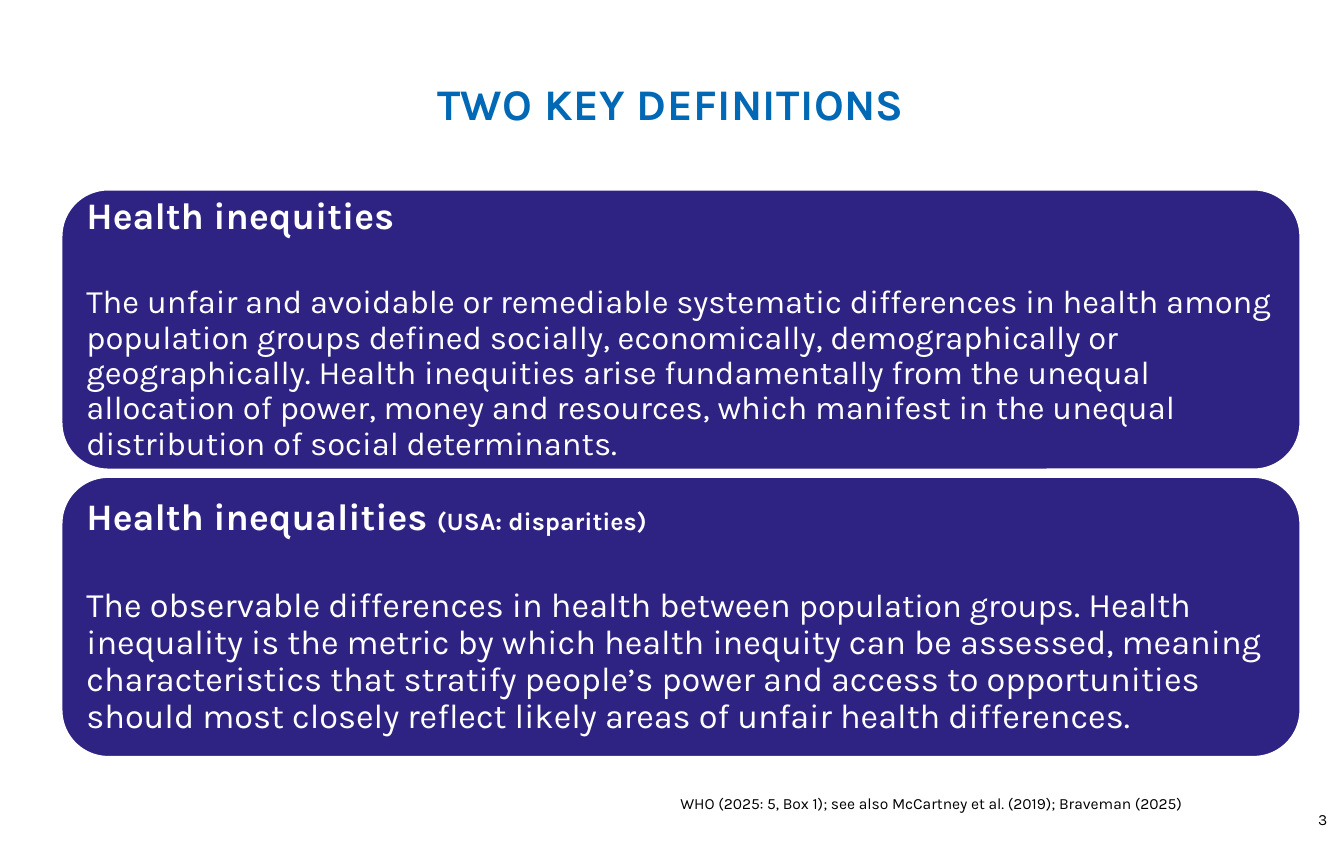
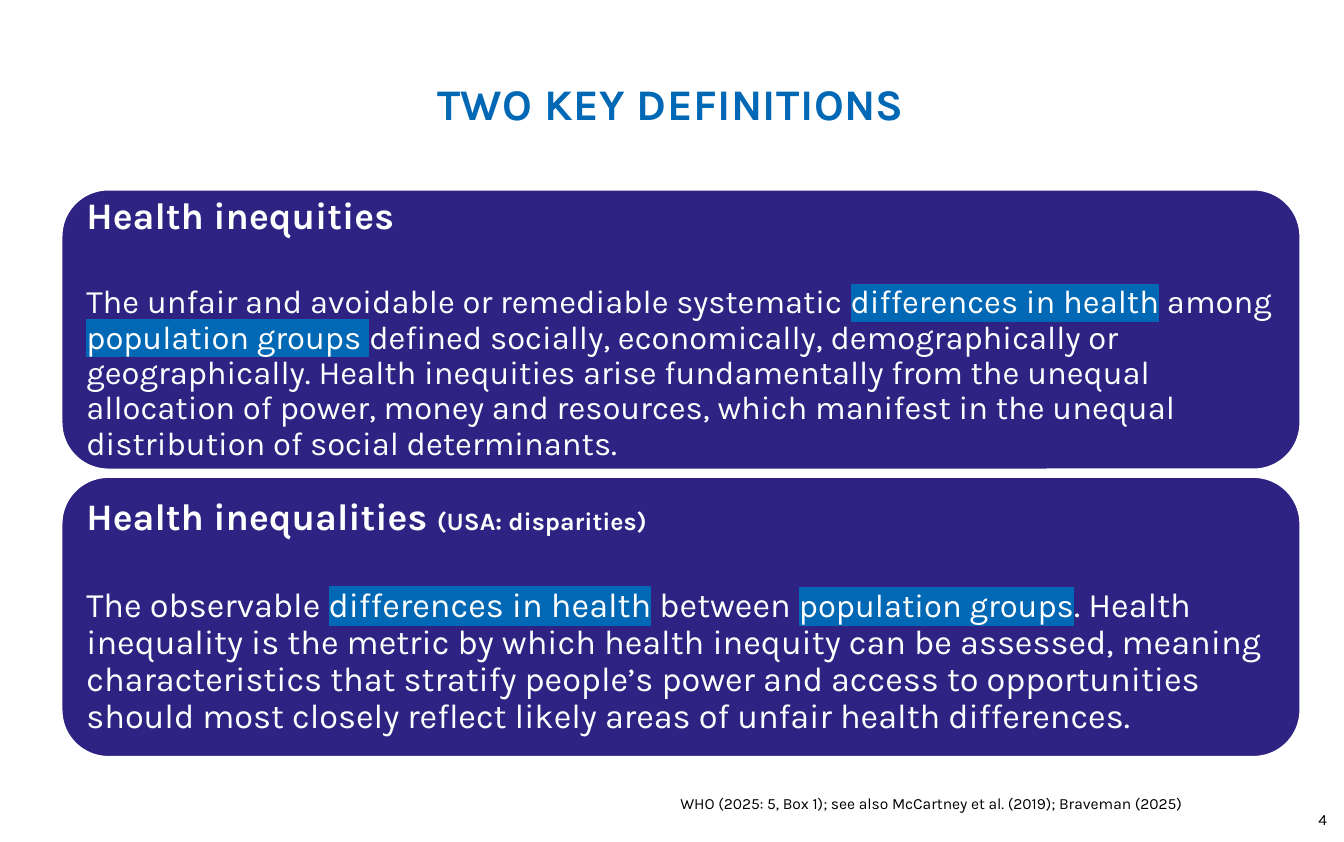
from dataclasses import dataclass

import pptx
import pptx.dml.color
import pptx.enum.shapes
import pptx.enum.text
import pptx.oxml
import pptx.oxml.ns
import pptx.util
from pptx.util import Inches


@dataclass(frozen=True)
class Theme:
    font: str = "Karla"
    accent: str = "0068B4"
    panel: str = "2E2382"
    white: str = "FFFFFF"
    black: str = "000000"
    title_size: int = 28
    heading_size: int = 24
    qualifier_size: int = 16
    body_size: int = 22
    compact_size: int = 21
    small_size: int = 10


theme = Theme()
Align = pptx.enum.text.PP_ALIGN
Anchor = pptx.enum.text.MSO_ANCHOR


def add_run(paragraph, text, size, color, bold=False, highlight=None):
    run = paragraph.add_run()
    run.text = text
    run.font.size = pptx.util.Pt(size)
    run.font.bold = bold
    run.font.color.rgb = pptx.dml.color.RGBColor.from_string(color)
    if highlight:
        mark = pptx.oxml.parse_xml(
            f'<a:highlight {pptx.oxml.ns.nsdecls("a")}><a:srgbClr val="{highlight}"/></a:highlight>'
        )
        run.font._element.find(pptx.oxml.ns.qn("a:solidFill")).addnext(mark)
    run.font.name = theme.font
    return run


def prepare_frame(shape, anchor, margins=(0, 0, 0, 0)):
    frame = shape.text_frame
    frame.word_wrap = True
    frame.auto_size = pptx.enum.text.MSO_AUTO_SIZE.NONE
    frame.vertical_anchor = anchor
    frame.margin_left, frame.margin_top, frame.margin_right, frame.margin_bottom = map(Inches, margins)
    return frame


definitions = [
    {
        "heading": [("Health inequities", theme.heading_size)],
        "gap": 31,
        "body": [
            ("The unfair and avoidable or remediable systematic ", theme.compact_size, False),
            ("differences in health", theme.compact_size, True),
            (" among ", theme.compact_size, False),
            ("population groups ", theme.compact_size, True),
            ("defined socially, economically, demographically or geographically. "
             "Health inequities arise fundamentally from the unequal allocation of power, "
             "money and resources, which manifest in the unequal distribution of social "
             "determinants.", theme.compact_size, False),
        ],
    },
    {
        "heading": [
            ("Health inequalities ", theme.heading_size),
            ("(USA: disparities)", theme.qualifier_size),
        ],
        "gap": 32,
        "body": [
            ("The observable ", theme.body_size, False),
            ("differences in health", theme.body_size, True),
            (" between ", theme.body_size, False),
            ("population groups", theme.compact_size, True),
            (". Health inequality is the metric by which health inequity can be assessed, "
             "meaning characteristics that stratify people’s power and access to opportunities "
             "should most closely reflect likely areas of unfair health differences.",
             theme.body_size, False),
        ],
    },
]

panel_left, panel_top = 0.55, 1.69
panel_width, panel_height, panel_gap = 11.03, 2.49, 0.07

presentation = pptx.Presentation()
presentation.slide_width = Inches(11.97)
presentation.slide_height = Inches(7.5)
title_only = presentation.slide_layouts[5]

for page_number, highlighted in [(3, False), (4, True)]:
    slide = presentation.slides.add_slide(title_only)

    title = slide.shapes.title
    title.left, title.top = Inches(0.55), Inches(0.72)
    title.width, title.height = Inches(10.85), Inches(0.41)
    paragraph = prepare_frame(title, Anchor.TOP).paragraphs[0]
    paragraph.alignment = Align.CENTER
    paragraph.line_spacing = 0.95
    title_run = add_run(paragraph, "TWO KEY DEFINITIONS", theme.title_size, theme.accent, bold=True)
    title_run.font._element.set("spc", "30")

    for index, definition in enumerate(definitions):
        panel = slide.shapes.add_shape(
            pptx.enum.shapes.MSO_SHAPE.ROUNDED_RECTANGLE,
            Inches(panel_left), Inches(panel_top + index * (panel_height + panel_gap)),
            Inches(panel_width), Inches(panel_height),
        )
        panel.shadow.inherit = False
        panel.fill.solid()
        panel.fill.fore_color.rgb = pptx.dml.color.RGBColor.from_string(theme.panel)
        panel.line.color.rgb = pptx.dml.color.RGBColor.from_string(theme.white)
        panel.line.width = pptx.util.Pt(1)

        frame = prepare_frame(panel, Anchor.MIDDLE, (0.1, 0.1, 0.1, 0.1))
        heading, body = frame.paragraphs[0], frame.add_paragraph()
        for paragraph in (heading, body):
            paragraph.alignment = Align.LEFT
            paragraph.line_spacing = 0.9
        heading.space_after = pptx.util.Pt(definition["gap"])
        for text, size in definition["heading"]:
            add_run(heading, text, size, theme.white, bold=True)
        for text, size, shared_term in definition["body"]:
            highlight = theme.accent if highlighted and shared_term else None
            add_run(body, text, size, theme.white, highlight=highlight)

    for text, left, top, width, bottom_margin, alignment in [
        (str(page_number), 11.03, 7.14, 0.79, 0, Align.RIGHT),
        ("WHO (2025: 5, Box 1); see also McCartney et al. (2019); Braveman (2025)",
         6.06, 7.02, 4.57, 0.02, Align.LEFT),
    ]:
        footer = slide.shapes.add_textbox(Inches(left), Inches(top), Inches(width), Inches(0.24))
        paragraph = prepare_frame(footer, Anchor.BOTTOM, (0, 0, 0, bottom_margin)).paragraphs[0]
        paragraph.alignment = alignment
        add_run(paragraph, text, theme.small_size, theme.black)

presentation.save("out.pptx")
